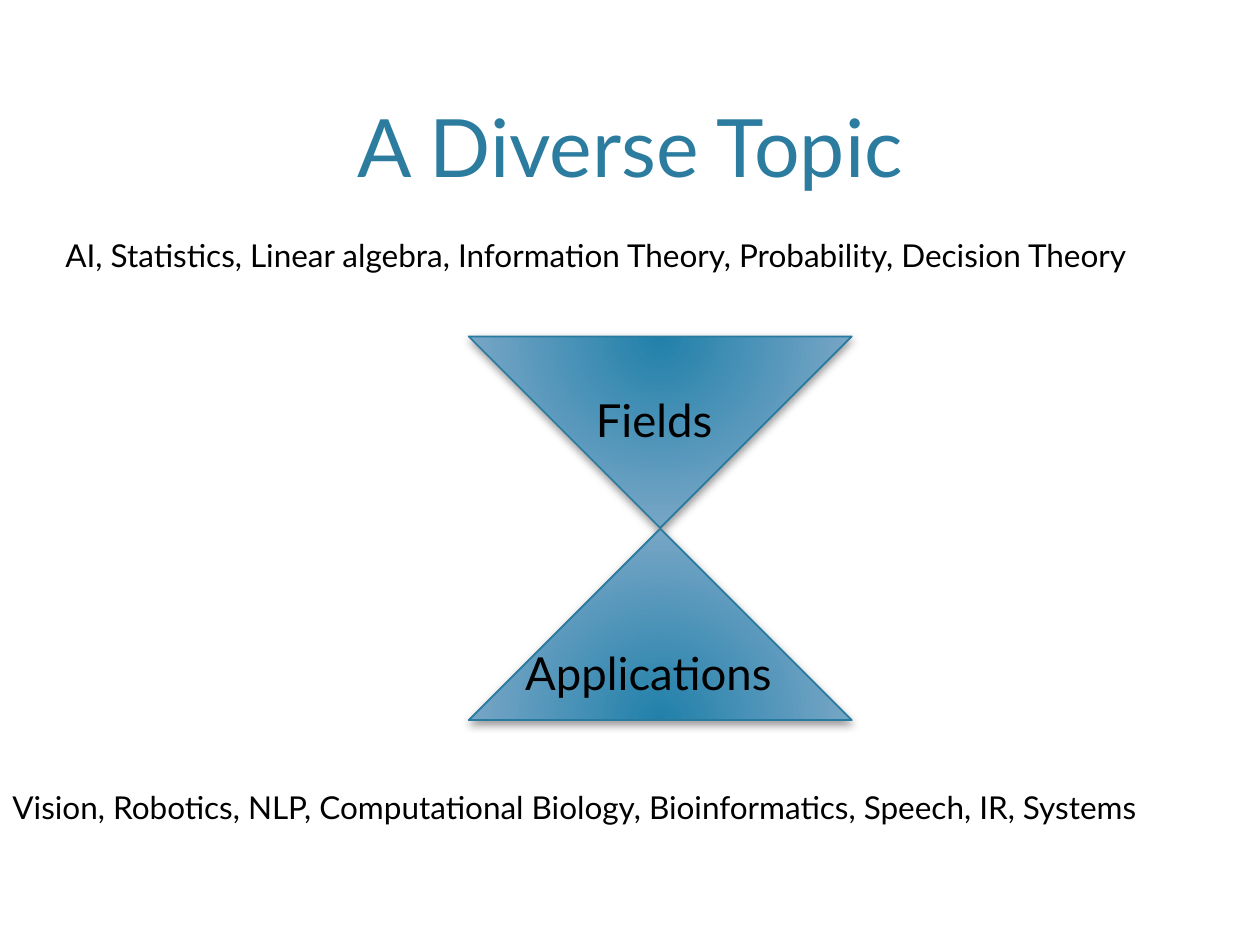
from dataclasses import dataclass

from lxml.etree import SubElement
from pptx import Presentation
from pptx.dml.color import RGBColor as Color
from pptx.enum.shapes import MSO_SHAPE as Shape
from pptx.enum.text import MSO_ANCHOR as Anchor, MSO_AUTO_SIZE as AutoSize, PP_ALIGN as Align
from pptx.oxml import parse_xml
from pptx.oxml.ns import nsdecls, qn
from pptx.util import Inches, Pt

PAGE_WIDTH, PAGE_HEIGHT = 10, 7.5


@dataclass(frozen=True)
class Theme:
    font: str = "Lato"
    title: str = "2C7C9F"
    ink: str = "000000"
    edge: str = "287A9E"
    stops: tuple = ((0, "2180AA"), (69, "75A5C5"), (100, "B8CCDC"))
    title_size: int = 46
    label_size: int = 26
    list_size: int = 18


THEME = Theme()


def place(box):
    """Turn shares of the page into lengths."""
    left, top, width, height = box
    return (Inches(left * PAGE_WIDTH), Inches(top * PAGE_HEIGHT),
            Inches(width * PAGE_WIDTH), Inches(height * PAGE_HEIGHT))


def add_text(page, box, words, size, color=THEME.ink, paragraph=None, **frame_format):
    frame = page.shapes.add_textbox(*place(box)).text_frame
    settings = {"word_wrap": False, "auto_size": AutoSize.SHAPE_TO_FIT_TEXT, **frame_format}
    for name, value in settings.items():
        setattr(frame, name, value)
    para = frame.paragraphs[0]
    for name, value in (paragraph or {}).items():
        setattr(para, name, value)
    span = para.add_run()
    span.text = words
    for name, value in {"name": THEME.font, "size": Pt(size)}.items():
        setattr(span.font, name, value)
    span.font.color.rgb = Color.from_string(color)


def add_title(page, box):
    add_text(page, box, "A Diverse Topic", THEME.title_size, THEME.title,
             paragraph={"alignment": Align.CENTER}, word_wrap=True,
             auto_size=AutoSize.NONE, vertical_anchor=Anchor.BOTTOM)


def style_triangle(triangle):
    """Radial fill, thin edge and soft shadow."""
    triangle.line.color.rgb = Color.from_string(THEME.edge)
    triangle.line.width = Pt(1)
    stops = "".join(f'<a:gs pos="{share * 1000}"><a:srgbClr val="{color}"/></a:gs>'
                    for share, color in THEME.stops)
    gradient = parse_xml(
        f'<a:gradFill {nsdecls("a")} rotWithShape="1"><a:gsLst>{stops}</a:gsLst>'
        '<a:path path="circle"><a:fillToRect l="100000" t="100000" r="100000" b="100000"/>'
        '</a:path></a:gradFill>')
    properties = triangle.element.spPr
    properties.find(qn("a:ln")).addprevious(gradient)

    triangle.shadow.inherit = False
    shadow = SubElement(properties.find(qn("a:effectLst")), qn("a:outerShdw"),
                        blurRad=str(Pt(5)), dist=str(Pt(2)), dir="5400000")
    shade = SubElement(shadow, qn("a:srgbClr"), val=THEME.ink)
    SubElement(shade, qn("a:alpha"), val="40000")


def add_hourglass(page, box):
    """Two right triangles, turned so that their right angles meet."""
    left, top, width, height = place(box)
    side = int(width / 2 ** 0.5)
    hourglass = page.shapes.add_group_shape()
    for edge, rotation in ((top, 315), (top + height, 135)):
        triangle = hourglass.shapes.add_shape(
            Shape.RIGHT_TRIANGLE, left + (width - side) // 2, edge - side // 2, side, side)
        triangle.rotation = rotation
        style_triangle(triangle)


def add_labels(page, labels, size):
    for words, box in labels.items():
        add_text(page, box, words, size)


def main():
    deck = Presentation()
    deck.slide_width, deck.slide_height = Inches(PAGE_WIDTH), Inches(PAGE_HEIGHT)
    page = deck.slides.add_slide(deck.slide_layouts[6])

    # Hourglass below the title
    add_hourglass(page, (0.372, 0.356, 0.304, 0.406))
    add_title(page, (0.06, 0.016, 0.88, 0.195))

    # Names of the two halves
    add_labels(page, {
        "Fields": (0.463, 0.408, 0.122, 0.072),
        "Applications": (0.407, 0.676, 0.234, 0.072),
    }, THEME.label_size)

    # Lists above and below the hourglass
    add_labels(page, {
        "AI, Statistics, Linear algebra, Information Theory, Probability, Decision Theory":
            (0.042, 0.243, 0.951, 0.053),
        "Vision, Robotics, NLP, Computational Biology, Bioinformatics, Speech, IR, Systems":
            (0, 0.827, 1.009, 0.053),
    }, THEME.list_size)

    deck.save("out.pptx")


if __name__ == "__main__":
    main()
